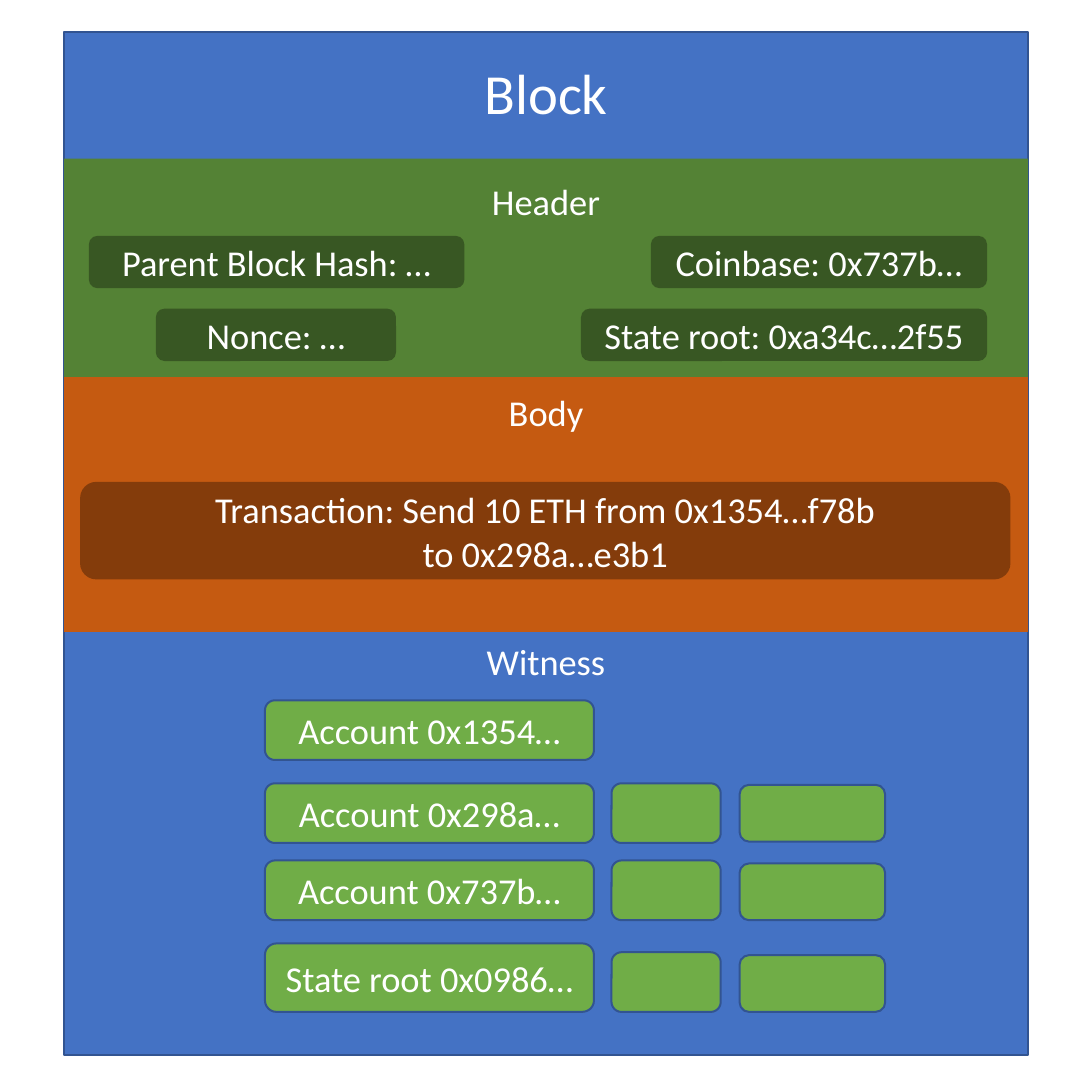
from dataclasses import dataclass

from pptx import Presentation
from pptx.dml.color import RGBColor
from pptx.enum.shapes import MSO_SHAPE as Shape
from pptx.enum.text import MSO_ANCHOR as Anchor, MSO_AUTO_SIZE as AutoSize, PP_ALIGN as Align
from pptx.slide import Slide
from pptx.text.text import TextFrame
from pptx.util import Pt

PX = 9144  # EMU per px, 100 px to the inch


@dataclass(frozen=True)
class Theme:
    font: str = "Calibri"
    title_size: int = 28
    text_size: int = 18
    text: str = "FFFFFF"
    block: str = "4472C4"
    outline: str = "325491"
    header: str = "548235"
    field: str = "385723"
    body: str = "C55A11"
    transaction: str = "843C0B"
    node: str = "70AD47"


THEME = Theme()


@dataclass(frozen=True)
class Rect:
    left: int
    top: int
    width: int
    height: int

    def emu(self) -> tuple[int, int, int, int]:
        return self.left * PX, self.top * PX, self.width * PX, self.height * PX


@dataclass(frozen=True)
class Box:
    rect: Rect
    fill: str
    text: str = ""
    outlined: bool = False
    rounded: bool = True


@dataclass(frozen=True)
class WitnessRow:
    text: str
    top: int
    height: int
    small_tops: tuple[int, ...] = ()


BLOCK_LEFT, BLOCK_WIDTH = 44, 662
NODE_LEFT, NODE_WIDTH = 182, 226
SMALL_NODES = ((420, 75, 41), (508, 100, 39))  # left, width, height

# Coloured bands of the block
BANDS = [
    Box(Rect(BLOCK_LEFT, 22, BLOCK_WIDTH, 703), THEME.block, outlined=True, rounded=False),
    Box(Rect(BLOCK_LEFT, 109, BLOCK_WIDTH, 152), THEME.header, rounded=False),
    Box(Rect(BLOCK_LEFT, 259, BLOCK_WIDTH, 175), THEME.body, rounded=False),
]

# Section labels and their tops
LABELS = {"Header": 118, "Body": 263, "Witness": 434}

# Header fields and the transaction
FIELDS = [
    Box(Rect(61, 162, 258, 36), THEME.field, "Parent Block Hash: …"),
    Box(Rect(447, 162, 231, 36), THEME.field, "Coinbase: 0x737b…"),
    Box(Rect(107, 212, 165, 36), THEME.field, "Nonce: …"),
    Box(Rect(399, 212, 279, 36), THEME.field, "State root: 0xa34c…2f55"),
    Box(Rect(55, 331, 639, 67), THEME.transaction,
        "Transaction: Send 10 ETH from 0x1354…f78b\nto 0x298a…e3b1"),
]

# Witness nodes
WITNESS = [
    WitnessRow("Account 0x1354…", 481, 41),
    WitnessRow("Account 0x298a…", 538, 41, (538, 539)),
    WitnessRow("Account 0x737b…", 591, 41, (591, 593)),
    WitnessRow("State root 0x0986…", 648, 47, (654, 656)),
]


def format_text(tf: TextFrame, size: int) -> None:
    tf.word_wrap = True
    for p in tf.paragraphs:
        p.alignment = Align.CENTER
        for r in p.runs:
            r.font.name = THEME.font
            r.font.size = Pt(size)
            r.font.color.rgb = RGBColor.from_string(THEME.text)


def add_box(slide: Slide, box: Box) -> None:
    kind = Shape.ROUNDED_RECTANGLE if box.rounded else Shape.RECTANGLE
    sp = slide.shapes.add_shape(kind, *box.rect.emu())
    sp.shadow.inherit = False
    sp.fill.solid()
    sp.fill.fore_color.rgb = RGBColor.from_string(box.fill)
    if box.outlined:
        sp.line.color.rgb = RGBColor.from_string(THEME.outline)
        sp.line.width = Pt(1)
    else:
        sp.line.fill.background()
    if box.text:
        tf = sp.text_frame
        tf.text = box.text
        tf.vertical_anchor = Anchor.MIDDLE
        format_text(tf, THEME.text_size)


def add_label(slide: Slide, text: str, top: int) -> None:
    sp = slide.shapes.add_textbox(*Rect(BLOCK_LEFT, top, BLOCK_WIDTH, 40).emu())
    sp.text_frame.text = text
    format_text(sp.text_frame, THEME.text_size)


def add_witness_row(slide: Slide, row: WitnessRow) -> None:
    rect = Rect(NODE_LEFT, row.top, NODE_WIDTH, row.height)
    add_box(slide, Box(rect, THEME.node, row.text, outlined=True))
    for (left, width, height), top in zip(SMALL_NODES, row.small_tops):
        add_box(slide, Box(Rect(left, top, width, height), THEME.node, outlined=True))


def place_title(slide: Slide, text: str) -> None:
    title = slide.shapes.title
    title.left, title.top, title.width, title.height = Rect(BLOCK_LEFT, 35, BLOCK_WIDTH, 57).emu()
    tf = title.text_frame
    tf.text = text
    tf.auto_size = AutoSize.NONE
    tf.vertical_anchor = Anchor.TOP
    format_text(tf, THEME.title_size)
    # Bring the title in front of the bands
    slide.shapes.element.append(title.element)


def main() -> None:
    prs = Presentation()
    prs.slide_width = prs.slide_height = 750 * PX
    slide = prs.slides.add_slide(prs.slide_layouts[5])

    for box in BANDS + FIELDS:
        add_box(slide, box)
    for text, top in LABELS.items():
        add_label(slide, text, top)
    for row in WITNESS:
        add_witness_row(slide, row)
    place_title(slide, "Block")

    prs.save("out.pptx")


if __name__ == "__main__":
    main()
